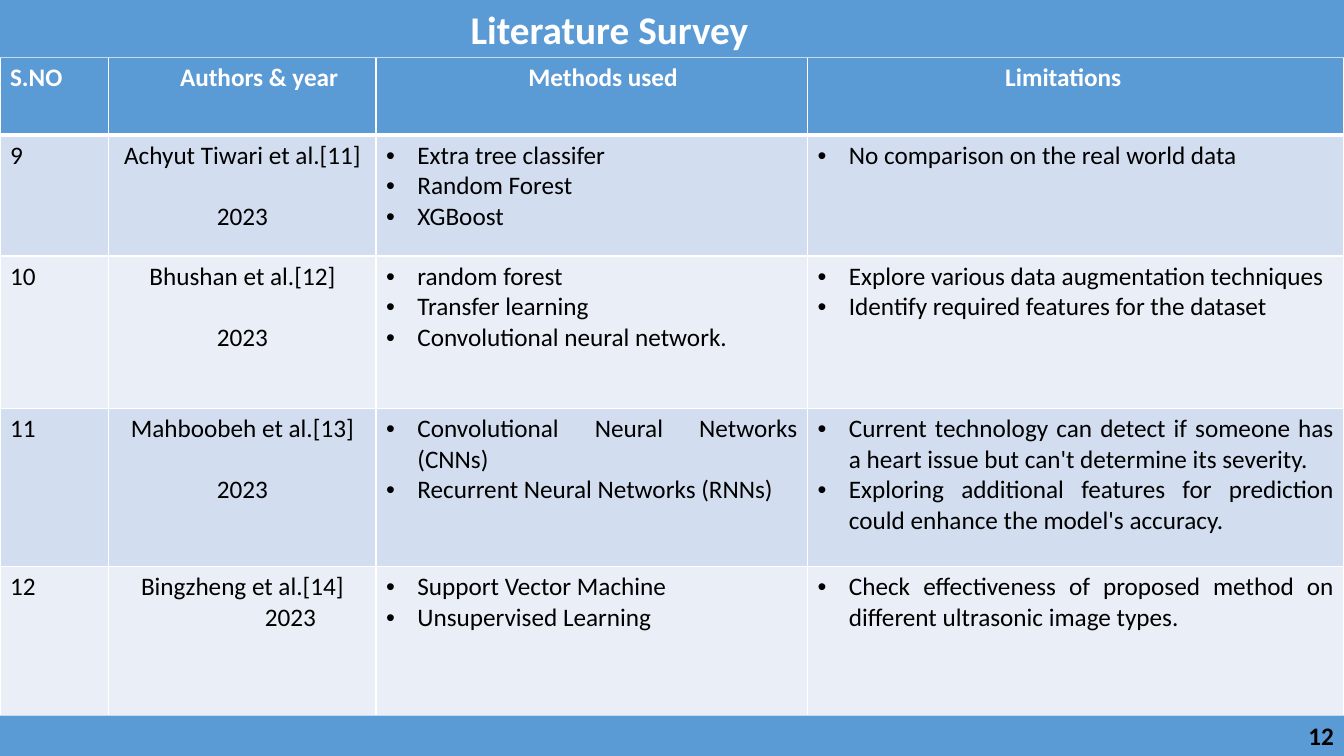
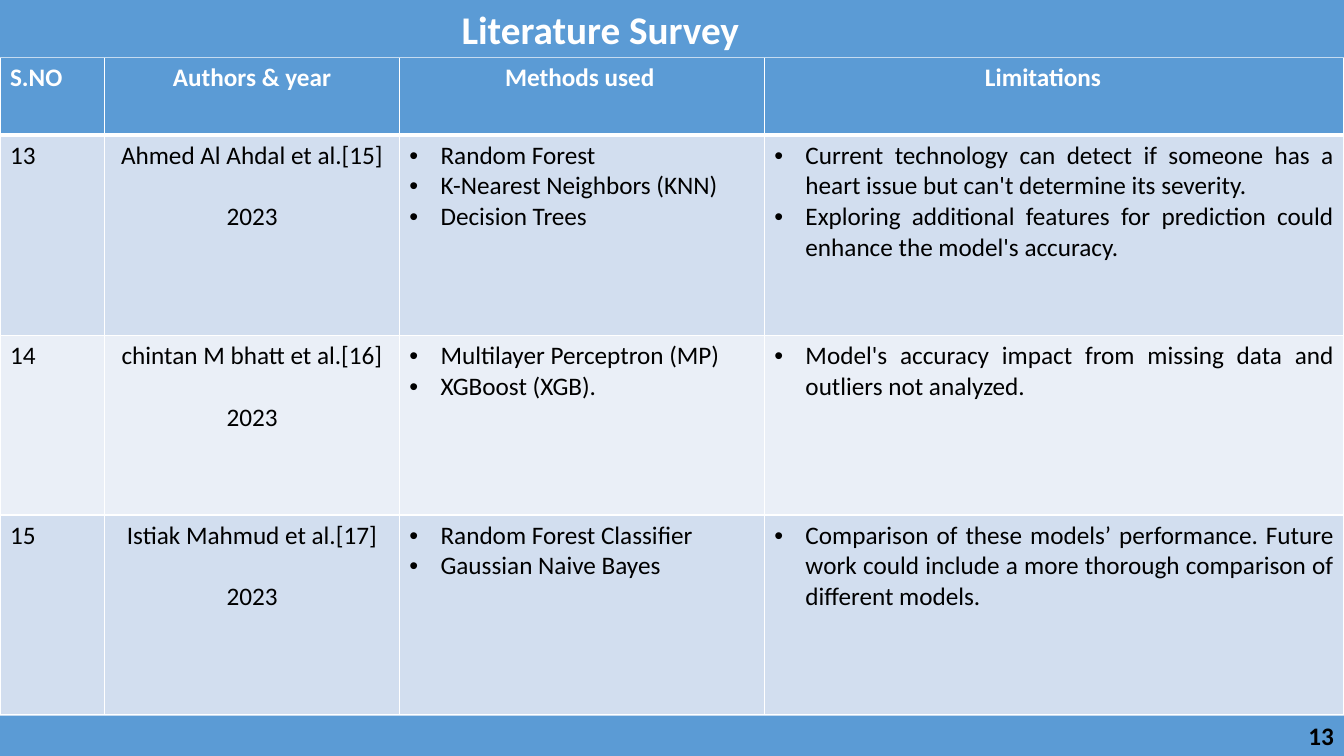
from lxml.etree import SubElement
from pptx import Presentation
from pptx.dml.color import RGBColor
from pptx.enum.shapes import MSO_SHAPE as Shape
from pptx.enum.text import MSO_ANCHOR as Anchor, PP_ALIGN as Align
from pptx.oxml.ns import qn
from pptx.util import Inches, Pt

WIDTH, HEIGHT = 13.33, 7.5
TITLE_HEIGHT, FOOTER_HEIGHT = 0.57, 0.4
BLUE, WHITE, BLACK = "5B9BD5", "FFFFFF", "000000"
STRIPES = ["D2DEEF", "EAEFF7"]
FONT = "Calibri"
BODY_SIZE, TITLE_SIZE = 18, 28
BULLET_INDENT = 0.31
YEAR_GAP = 22
HEADINGS = ["S.NO", "Authors & year", "Methods used", "Limitations"]

SEVERITY = ["Current technology can detect if someone has a heart issue but can't determine its severity.",
            "Exploring additional features for prediction could enhance the model's accuracy."]

# Each entry: number, author, methods, limitations
SURVEYS = [
    dict(number=12, title_indent=4.57, columns=[1.08, 2.65, 4.28, 5.32],
         rows=[0.77, 1.2, 1.51, 1.57, 1.48], heading_indents=[0, 0.33, 1.41, 1.86],
         entries=[
             ("9", "Achyut Tiwari et al.[11]",
              ["Extra tree classifer", "Random Forest", "XGBoost"],
              ["No comparison on the real world data"]),
             ("10", "Bhushan et al.[12]",
              ["random forest", "Transfer learning", "Convolutional neural network."],
              ["Explore various data augmentation techniques",
               "Identify required features for the dataset"]),
             ("11", "Mahboobeh et al.[13]",
              ["Convolutional Neural Networks (CNNs)", "Recurrent Neural Networks (RNNs)"],
              SEVERITY),
             ("12", "Bingzheng et al.[14]",
              ["Support Vector Machine", "Unsupervised Learning"],
              ["Check effectiveness of proposed method on different ultrasonic image types."]),
         ],
         year_styles={"12": dict(gap=0, indent=0.95)}),
    dict(number=13, title_indent=4.48, columns=[1.04, 2.92, 3.62, 5.75],
         rows=[0.77, 1.99, 1.78, 1.98], heading_indents=[0, 0, 0.95, 2.09],
         entries=[
             ("13", "Ahmed Al Ahdal et al.[15]",
              ["Random Forest", "K-Nearest Neighbors (KNN)", "Decision Trees"],
              SEVERITY),
             ("14", "chintan M bhatt et al.[16]",
              ["Multilayer Perceptron (MP)", "XGBoost (XGB)."],
              ["Model's accuracy impact from missing data and outliers not analyzed."]),
             ("15", "Istiak Mahmud et al.[17]",
              ["Random Forest Classifier", "Gaussian Naive Bayes"],
              ["Comparison of these models’ performance. Future work could include "
               "a more thorough comparison of different models."]),
         ],
         year_styles={}),
]


def color(value):
    return RGBColor.from_string(value)


class SurveyDeck:
    def __init__(self):
        self.deck = Presentation()
        self.deck.slide_width = Inches(WIDTH)
        self.deck.slide_height = Inches(HEIGHT)
        self.page = None

    def add_page(self):
        self.page = self.deck.slides.add_slide(self.deck.slide_layouts[6])

    def style(self, para, align, ink=BLACK, size=BODY_SIZE, bold=False,
              indent=0, bullet=False, gap=0):
        properties = para._p.get_or_add_pPr()
        if bullet:
            indent = BULLET_INDENT
            properties.set("indent", str(-Inches(indent)))
            SubElement(properties, qn("a:buFont"), typeface="Arial")
            SubElement(properties, qn("a:buChar"), char="•")
        if indent:
            properties.set("marL", str(Inches(indent)))
        para.alignment = align
        if gap:
            para.space_before = Pt(gap)
        for span in para.runs:
            span.font.name = FONT
            span.font.size = Pt(size)
            span.font.bold = bold
            span.font.color.rgb = color(ink)

    def band(self, top, height, text, align, **look):
        box = self.page.shapes.add_shape(
            Shape.RECTANGLE, 0, Inches(top), Inches(WIDTH), Inches(height))
        box.shadow.inherit = False
        box.fill.solid()
        box.fill.fore_color.rgb = color(BLUE)
        box.line.fill.background()
        frame = box.text_frame
        frame.vertical_anchor = Anchor.MIDDLE
        frame.text = text
        self.style(frame.paragraphs[0], align, bold=True, **look)

    def borders(self, cell, top, bottom):
        properties = cell._tc.get_or_add_tcPr()
        for side, points in (("L", 1), ("R", 1), ("T", top), ("B", bottom)):
            line = SubElement(properties, qn("a:ln" + side), w=str(Pt(points)))
            fill = SubElement(line, qn("a:solidFill"))
            SubElement(fill, qn("a:srgbClr"), val=WHITE)

    def cell(self, cell, lines, looks, fill, top=1, bottom=1):
        self.borders(cell, top, bottom)
        cell.fill.solid()
        cell.fill.fore_color.rgb = color(fill)
        cell.text_frame.text = "\n".join(lines)
        for para, look in zip(cell.text_frame.paragraphs, looks):
            self.style(para, **look)

    def table(self, survey):
        columns, rows = survey["columns"], survey["rows"]
        table = self.page.shapes.add_table(
            len(rows), len(columns), 0, Inches(TITLE_HEIGHT),
            Inches(WIDTH), Inches(sum(rows))).table
        for column, width in zip(table.columns, columns):
            column.width = Inches(width)
        for row, height in zip(table.rows, rows):
            row.height = Inches(height)

        # Heading row
        for index, (text, indent) in enumerate(zip(HEADINGS, survey["heading_indents"])):
            align = Align.CENTER if index == 1 else Align.JUSTIFY
            look = dict(align=align, ink=WHITE, bold=True, indent=indent)
            self.cell(table.cell(0, index), [text], [look], BLUE, bottom=3)

        # Surveyed papers
        plain = dict(align=Align.JUSTIFY)
        bulleted = dict(align=Align.JUSTIFY, bullet=True)
        centred = dict(align=Align.CENTER)
        for index, (number, author, methods, limits) in enumerate(survey["entries"], 1):
            year = {**centred, "gap": YEAR_GAP, **survey["year_styles"].get(number, {})}
            contents = [
                ([number], [plain]),
                ([author, "2023"], [centred, year]),
                (methods, [bulleted] * len(methods)),
                (limits, [bulleted] * len(limits)),
            ]
            for column, (lines, looks) in enumerate(contents):
                self.cell(table.cell(index, column), lines, looks,
                          STRIPES[(index - 1) % 2], top=3 if index == 1 else 1)

    def survey_page(self, survey):
        self.add_page()
        self.table(survey)
        self.band(HEIGHT - FOOTER_HEIGHT, FOOTER_HEIGHT, str(survey["number"]), Align.RIGHT)
        self.band(0, TITLE_HEIGHT, "Literature Survey", Align.LEFT,
                  ink=WHITE, size=TITLE_SIZE, indent=survey["title_indent"])


def main():
    builder = SurveyDeck()
    for survey in SURVEYS:
        builder.survey_page(survey)
    builder.deck.save("out.pptx")


if __name__ == "__main__":
    main()
